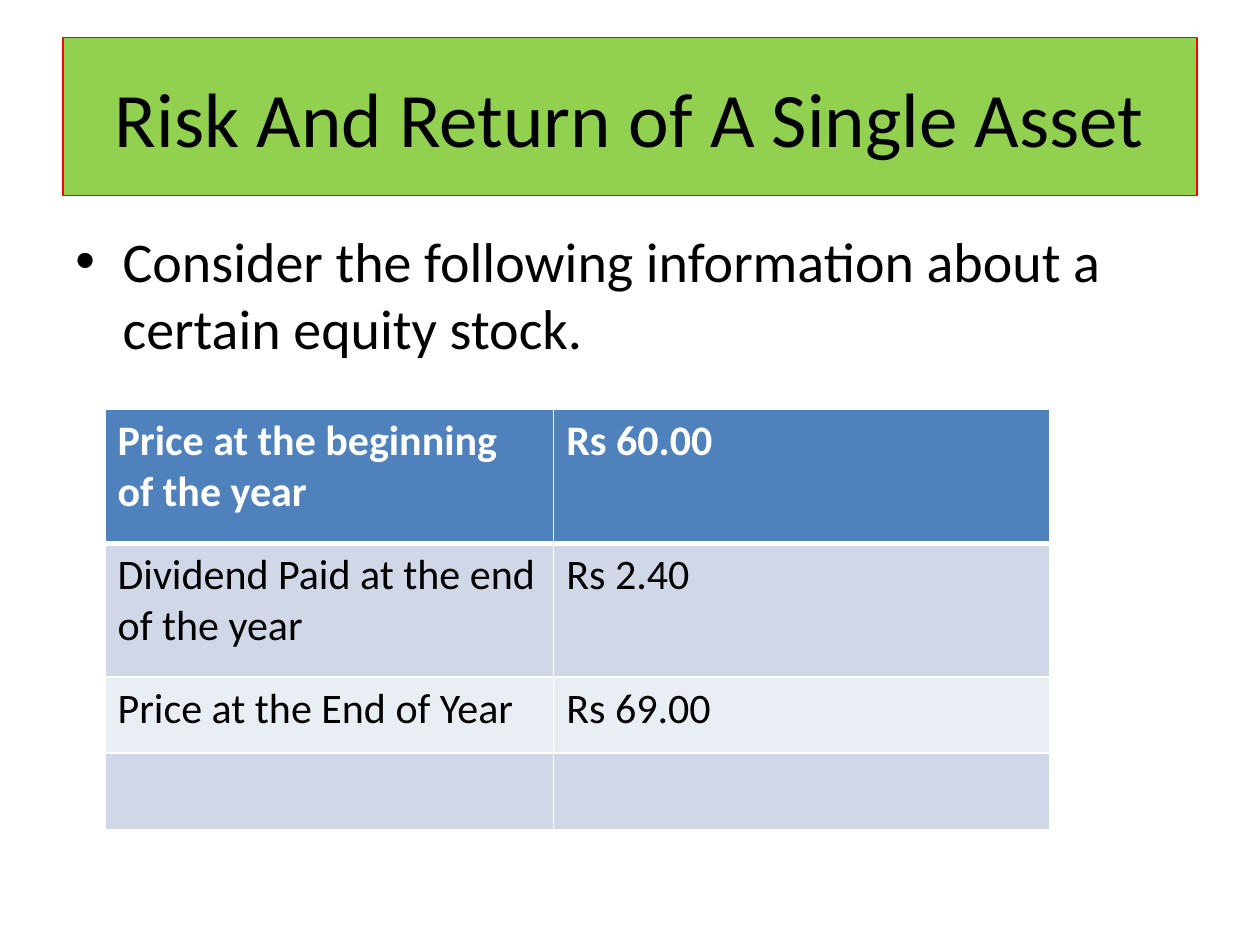
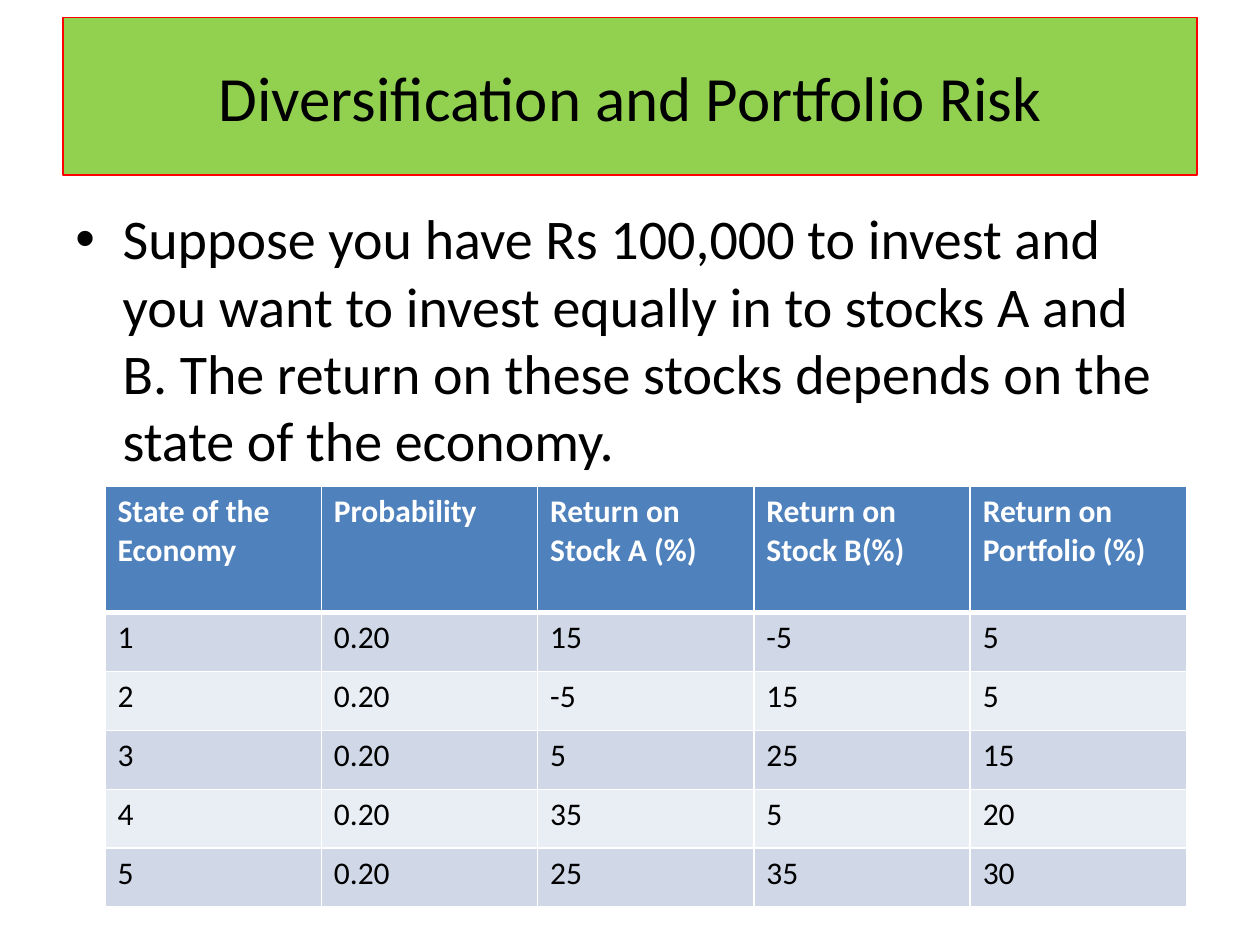
from lxml import etree
from pptx import Presentation
from pptx.dml.color import RGBColor
from pptx.enum.shapes import MSO_SHAPE
from pptx.enum.text import MSO_ANCHOR, PP_ALIGN
from pptx.oxml.ns import qn
from pptx.util import Pt

RECTANGLE = MSO_SHAPE.RECTANGLE
MIDDLE = MSO_ANCHOR.MIDDLE
LEFT, CENTER = PP_ALIGN.LEFT, PP_ALIGN.CENTER

# Shared look
FONT = "Calibri"
BLACK, WHITE = "000000", "FFFFFF"
TITLE_FILL, TITLE_LINE = "92D050", "FF0000"
HEADER_FILL = "4F81BD"
BAND_FILLS = ["E9EDF4", "D0D8E8"]
MARGIN, CONTENT_WIDTH = 36, 648
TITLE_HEIGHT, BODY_HEIGHT = 90, 356.4
TABLE_LEFT = 60
BULLET_INDENT = 27

SLIDES = [
    {
        "title": "Risk And Return of A Single Asset",
        "title_top": 21.6, "title_size": 44,
        "body": "Consider the following information about a certain equity stock.",
        "body_top": 126,
        "table_top": 234, "table_size": 24,
        "columns": [256.4, 283.6],
        "heights": [76.4, 76.4, 43.6, 43.6],
        "rows": [
            ["Price at the beginning of the year", "Rs 60.00"],
            ["Dividend Paid at the end of the year", "Rs 2.40"],
            ["Price at the End of Year", "Rs 69.00"],
            ["", ""],
        ],
    },
    {
        "title": "Diversification and Portfolio Risk",
        "title_top": 10, "title_size": 36,
        "body": "Suppose you have Rs 100,000 to invest and you want to invest "
                "equally in to stocks A and B. The return on these stocks "
                "depends on the state of the economy.",
        "body_top": 113,
        "table_top": 278, "table_size": 18,
        "columns": [123.6] * 5,
        "heights": [72] + [33.7] * 5,
        "rows": [
            ["State of the Economy", "Probability", "Return on\nStock A (%)",
             "Return on\nStock B(%)", "Return on\nPortfolio (%)"],
            ["1", "0.20", "15", "-5", "5"],
            ["2", "0.20", "-5", "15", "5"],
            ["3", "0.20", "5", "25", "15"],
            ["4", "0.20", "35", "5", "20"],
            ["5", "0.20", "25", "35", "30"],
        ],
    },
]


def color(value):
    return RGBColor.from_string(value)


def write(text_frame, text, size, text_color=BLACK, bold=False, align=LEFT):
    text_frame.text = text
    for paragraph in text_frame.paragraphs:
        paragraph.alignment = align
        for run in paragraph.runs:
            run.font.name = FONT
            run.font.size = Pt(size)
            run.font.bold = bold
            run.font.color.rgb = color(text_color)


presentation = Presentation()
presentation.slide_width, presentation.slide_height = Pt(720), Pt(540)
blank_layout = presentation.slide_layouts[6]

for content in SLIDES:
    slide = presentation.slides.add_slide(blank_layout)

    # Title band
    band = slide.shapes.add_shape(RECTANGLE, Pt(MARGIN), Pt(content["title_top"]),
                                  Pt(CONTENT_WIDTH), Pt(TITLE_HEIGHT))
    band.shadow.inherit = False
    band.fill.solid()
    band.fill.fore_color.rgb = color(TITLE_FILL)
    band.line.color.rgb = color(TITLE_LINE)
    band.line.width = Pt(0.75)
    band.text_frame.word_wrap = True
    band.text_frame.vertical_anchor = MIDDLE
    write(band.text_frame, content["title"], content["title_size"], align=CENTER)

    # Bulleted statement
    body = slide.shapes.add_textbox(Pt(MARGIN), Pt(content["body_top"]),
                                    Pt(CONTENT_WIDTH), Pt(BODY_HEIGHT))
    body.text_frame.word_wrap = True
    write(body.text_frame, content["body"], 32)
    properties = body.text_frame.paragraphs[0]._p.get_or_add_pPr()
    properties.set("marL", str(Pt(BULLET_INDENT)))
    properties.set("indent", str(-Pt(BULLET_INDENT)))
    spacing = etree.SubElement(properties, qn("a:spcBef"))
    etree.SubElement(spacing, qn("a:spcPct")).set("val", "20000")
    etree.SubElement(properties, qn("a:buFont")).set("typeface", "Arial")
    etree.SubElement(properties, qn("a:buChar")).set("char", "•")

    # Banded table
    rows, columns, heights = content["rows"], content["columns"], content["heights"]
    table = slide.shapes.add_table(
        len(rows), len(columns), Pt(TABLE_LEFT), Pt(content["table_top"]),
        Pt(sum(columns)), Pt(sum(heights))).table
    for column, width in zip(table.columns, columns):
        column.width = Pt(width)
    for row_index, values in enumerate(rows):
        table.rows[row_index].height = Pt(heights[row_index])
        header = row_index == 0
        for column_index, value in enumerate(values):
            cell = table.cell(row_index, column_index)
            write(cell.text_frame, value, content["table_size"],
                  WHITE if header else BLACK, header)

            # White borders, heavier between the header and the first row
            cell_properties = cell._tc.get_or_add_tcPr()
            for side in ("lnL", "lnR", "lnT", "lnB"):
                heavy = (side, row_index) in (("lnB", 0), ("lnT", 1))
                border = etree.SubElement(cell_properties, qn("a:" + side))
                border.set("w", str(Pt(3 if heavy else 1)))
                border_fill = etree.SubElement(border, qn("a:solidFill"))
                etree.SubElement(border_fill, qn("a:srgbClr")).set("val", WHITE)

            cell.fill.solid()
            cell.fill.fore_color.rgb = color(
                HEADER_FILL if header else BAND_FILLS[row_index % 2])

presentation.save("out.pptx")
